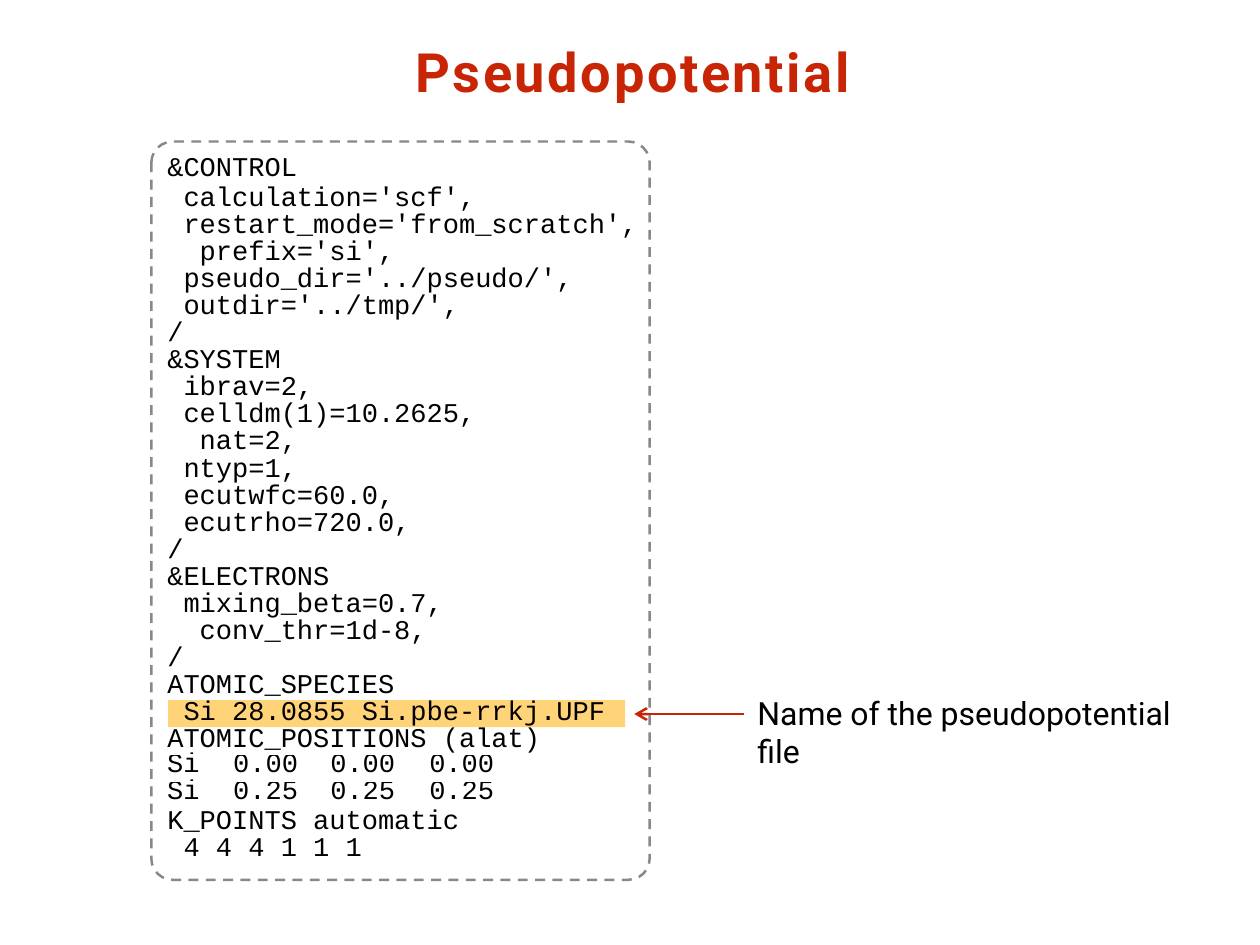
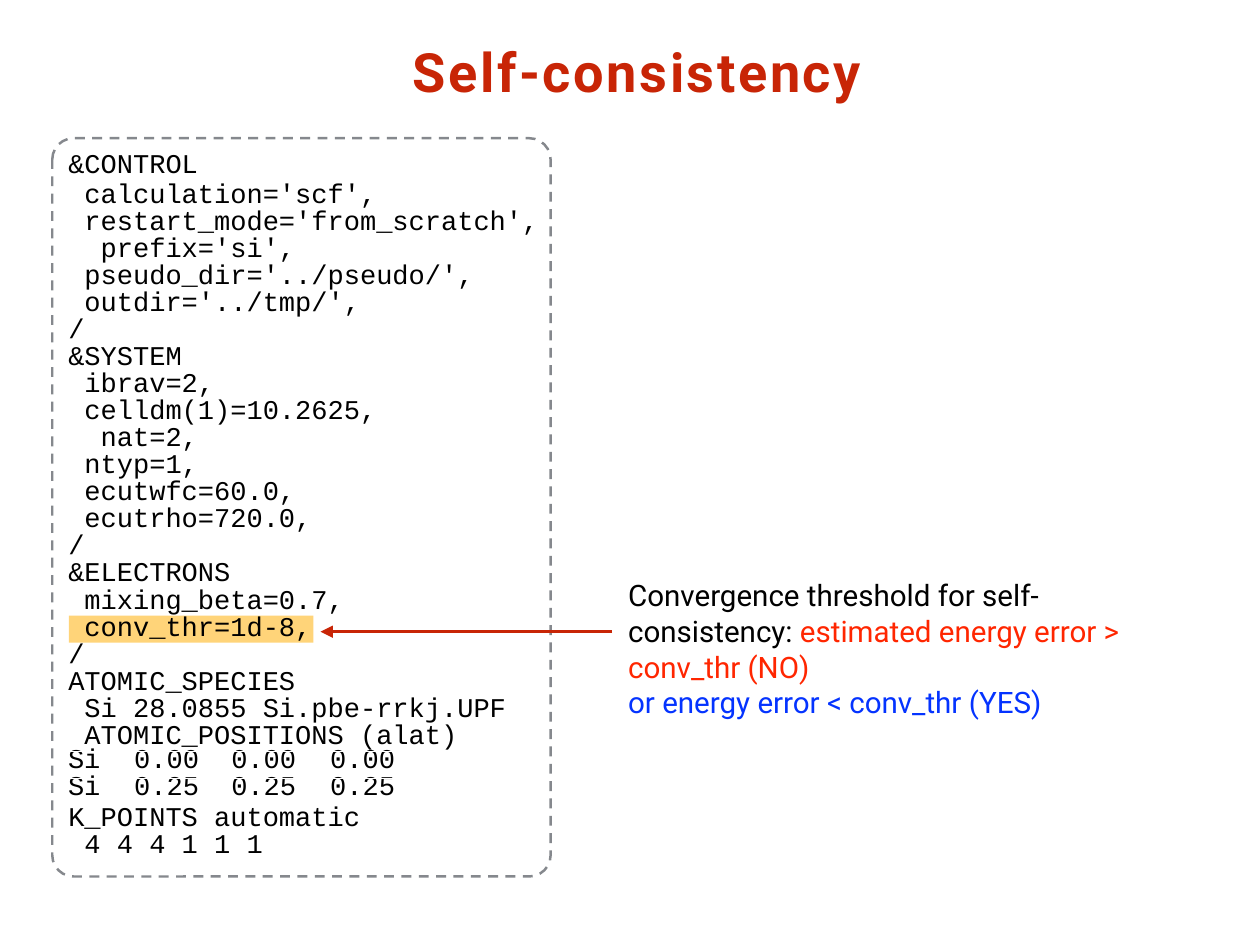
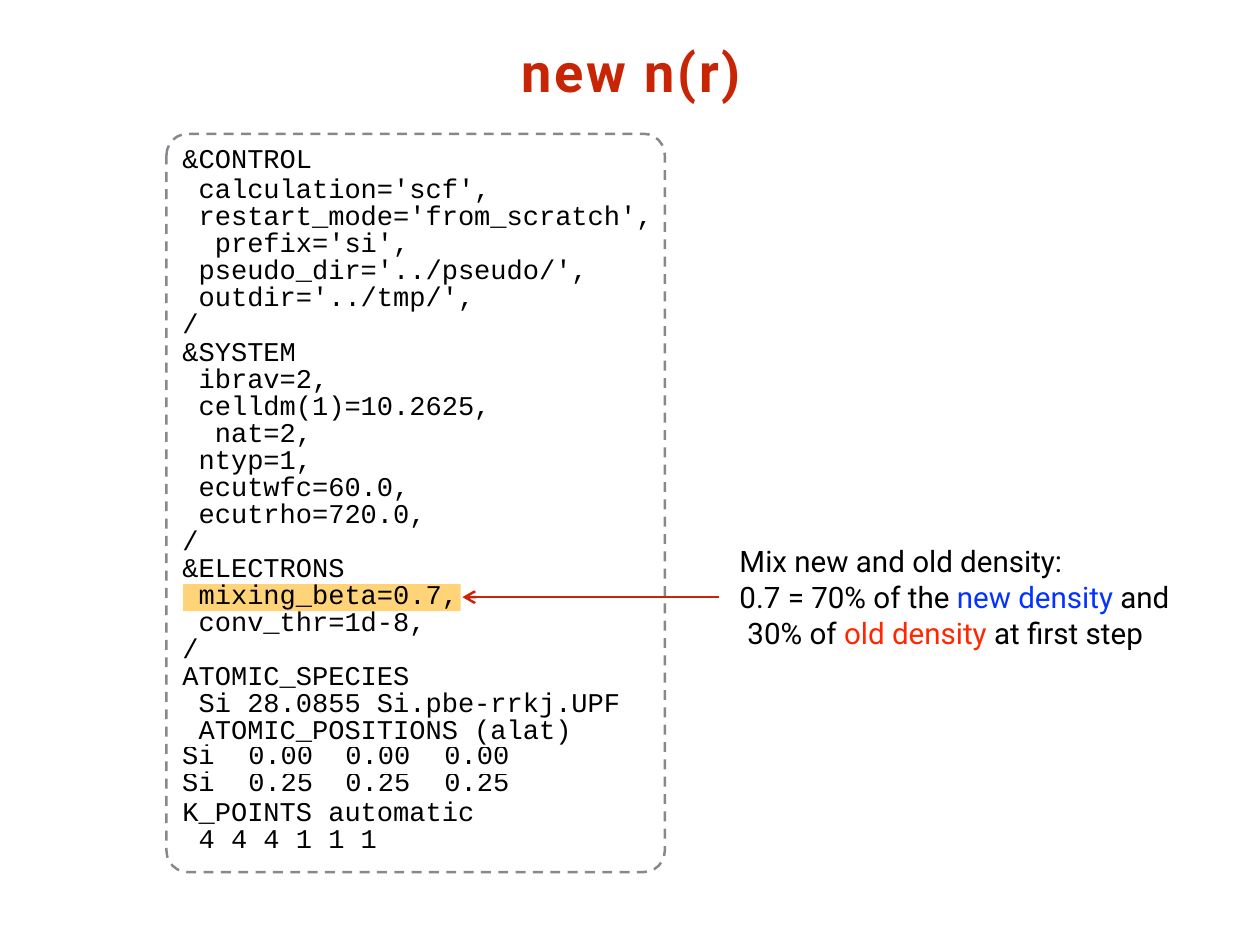
"""Build three slides that explain lines of a plane-wave input file."""
from lxml.etree import SubElement
from pptx import Presentation
from pptx.dml.color import RGBColor
from pptx.enum.dml import MSO_LINE_DASH_STYLE as DASH
from pptx.enum.shapes import MSO_CONNECTOR as CONN, MSO_SHAPE as SHAPE
from pptx.enum.text import PP_ALIGN as ALIGN
from pptx.oxml.ns import qn
from pptx.util import Pt

RED, BLACK, GREY, GOLD = "C82506", "000000", "85888D", "FFD479"
BRIGHT_RED, BLUE = "FF2600", "0433FF"
SANS, MONO = "Roboto", "Courier New"
PANEL_W, PANEL_H, RADIUS = 405, 600, 17.3
CODE_SIZE, PITCH = 22, 22
CODE_LEFT, CODE_TOP, BAND_TOP = 13, 8.7, 14
TABLE_LEFT, TABLE_TOP, KPOINTS_TOP = 10.8, 498.2, 541.5

CODE = """&CONTROL
 calculation='scf',
 restart_mode='from_scratch',
  prefix='si',
 pseudo_dir='../pseudo/',
 outdir='../tmp/',
/
&SYSTEM
 ibrav=2,
 celldm(1)=10.2625,
  nat=2,
 ntyp=1,
 ecutwfc=60.0,
 ecutrho=720.0,
/
&ELECTRONS
 mixing_beta=0.7,
 conv_thr=1d-8,
/
ATOMIC_SPECIES
 Si 28.0855 Si.pbe-rrkj.UPF
 ATOMIC_POSITIONS (alat)""".split("\n")
MIXING, CONV_THR, SPECIES, POSITIONS = 16, 17, 20, 21
KPOINTS = ["K_POINTS automatic", " 4 4 4 1 1 1"]
ATOMS = [["Si"] + [value] * 3 for value in ("0.00", "0.25")]
COLUMNS = [(42.5, ALIGN.LEFT, 2), (79.2, ALIGN.CENTER, 0),
           (80, ALIGN.LEFT, 13), (69.1, ALIGN.RIGHT, 0)]


def rgb(color):
    return RGBColor.from_string(color)


def style(font, name, size, color=BLACK, bold=False):
    font.name, font.size, font.bold = name, Pt(size), bold
    font.color.rgb = rgb(color)


def add_box(s, x, y, w, h):
    tf = s.shapes.add_textbox(Pt(x), Pt(y), Pt(w), Pt(h)).text_frame
    tf.word_wrap = True
    tf.margin_left = tf.margin_top = tf.margin_right = tf.margin_bottom = 0
    return tf


def add_paragraphs(tf, items):
    for i, item in enumerate(items):
        yield (tf.add_paragraph() if i else tf.paragraphs[0]), item


def add_title(s, x, text):
    tf = add_box(s, x, 31, 480, 54)
    p = tf.paragraphs[0]
    r = p.add_run()
    r.text = text
    r._r.get_or_add_rPr().set("spc", "210")
    style(p.font, SANS, 44, RED, True)


def add_code(s, x, y, lines):
    tf = add_box(s, x, y, PANEL_W - 15, PITCH * len(lines))
    for p, line in add_paragraphs(tf, lines):
        p.text = line
        p.line_spacing = Pt(PITCH)
        style(p.font, MONO, CODE_SIZE)
    return tf


def add_shape(s, kind, x, y, w, h):
    sp = s.shapes.add_shape(kind, Pt(x), Pt(y), Pt(w), Pt(h))
    sp.shadow.inherit = False
    return sp


def add_atoms(s, x, y):
    frame = s.shapes.add_table(len(ATOMS), len(COLUMNS), Pt(x), Pt(y),
                               Pt(sum(c[0] for c in COLUMNS)), Pt(PITCH * len(ATOMS)))
    table = frame.table
    table.first_row = table.horz_banding = False
    for col, (width, align, margin) in enumerate(COLUMNS):
        table.columns[col].width = Pt(width)
        for row, values in enumerate(ATOMS):
            cell = table.cell(row, col)
            cell.fill.background()
            cell.margin_top = cell.margin_bottom = 0
            cell.margin_left = Pt(margin)
            cell.margin_right = Pt(3 if align == ALIGN.RIGHT else 0)
            p = cell.text_frame.paragraphs[0]
            p.text, p.alignment, p.line_spacing = values[col], align, Pt(21)
            style(p.font, MONO, CODE_SIZE)


def add_panel(s, x, y, lines, marked, band_w):
    band = add_shape(s, SHAPE.RECTANGLE, x + 13.6, y + BAND_TOP + marked * PITCH, band_w, PITCH)
    band.fill.solid()
    band.fill.fore_color.rgb = rgb(GOLD)
    band.line.fill.background()

    tf = add_code(s, x + CODE_LEFT, y + CODE_TOP, lines)
    tf.paragraphs[0].line_spacing = Pt(24.2)
    tf.paragraphs[1].space_before = Pt(2.2)
    add_atoms(s, x + TABLE_LEFT, y + TABLE_TOP)
    add_code(s, x + CODE_LEFT, y + KPOINTS_TOP, KPOINTS)

    frame = add_shape(s, SHAPE.ROUNDED_RECTANGLE, x, y, PANEL_W, PANEL_H)
    frame.adjustments[0] = RADIUS / PANEL_W
    frame.fill.background()
    frame.line.color.rgb = rgb(GREY)
    frame.line.width = Pt(2)
    frame.line.dash_style = DASH.DASH


def add_arrow(s, x1, x2, y, head):
    cx = s.shapes.add_connector(CONN.STRAIGHT, Pt(x1), Pt(y), Pt(x2), Pt(y))
    cx.line.color.rgb = rgb(RED)
    cx.line.width = Pt(2)
    SubElement(cx.line._get_or_add_ln(), qn("a:tailEnd"), type=head, w="lg", len="lg")
    SubElement(cx._element.spPr, qn("a:effectLst"))


def add_callout(s, x, y, w, size, paragraphs):
    tf = add_box(s, x, y, w, 89)
    for p, (indent, runs) in add_paragraphs(tf, paragraphs):
        p.line_spacing = 1.01
        if indent:
            p._p.get_or_add_pPr().set("marL", str(Pt(indent)))
        style(p.font, SANS, size)
        for text, color in runs:
            r = p.add_run()
            r.text = text
            if color != BLACK:
                r.font.color.rgb = rgb(color)


def main():
    prs = Presentation()
    prs.slide_width, prs.slide_height = Pt(1024), Pt(768)
    pseudo, scf, mixing = (prs.slides.add_slide(prs.slide_layouts[6]) for _ in range(3))

    lines = list(CODE)
    lines[CONV_THR] = " " + lines[CONV_THR]
    lines[POSITIONS] = lines[POSITIONS].strip()
    add_title(pseudo, 337.5, "Pseudopotential")
    add_panel(pseudo, 123, 115, lines, SPECIES, 371.5)
    add_arrow(pseudo, 605, 515.5, 580.3, "arrow")
    add_callout(pseudo, 615.5, 563, 360, 26, [(0, [("Name of the pseudopotential file", BLACK)])])

    add_title(scf, 335.5, "Self-consistency")
    add_panel(scf, 42.5, 112.3, CODE, CONV_THR, 198.7)
    add_arrow(scf, 497.5, 260.5, 513.4, "triangle")
    add_callout(scf, 510.5, 468.7, 450, 24, [
        (0, [("Convergence threshold for self-consistency: ", BLACK),
             ("estimated energy error > conv_thr (NO)", BRIGHT_RED)]),
        (0, [("or energy error < conv_thr (YES)", BLUE)])])

    add_title(mixing, 424, "new n(r)")
    add_panel(mixing, 135.3, 108.7, CODE, MIXING, 225.4)
    add_arrow(mixing, 584, 375.8, 485.3, "arrow")
    add_callout(mixing, 601, 441, 380, 24, [
        (0, [("Mix new and old density:", BLACK)]),
        (0, [("0.7 = 70% of the ", BLACK), ("new density", BLUE), (" and", BLACK)]),
        (6.5, [("30% of ", BLACK), ("old density", BRIGHT_RED), (" at first step", BLACK)])])

    prs.save("out.pptx")


if __name__ == "__main__":
    main()
